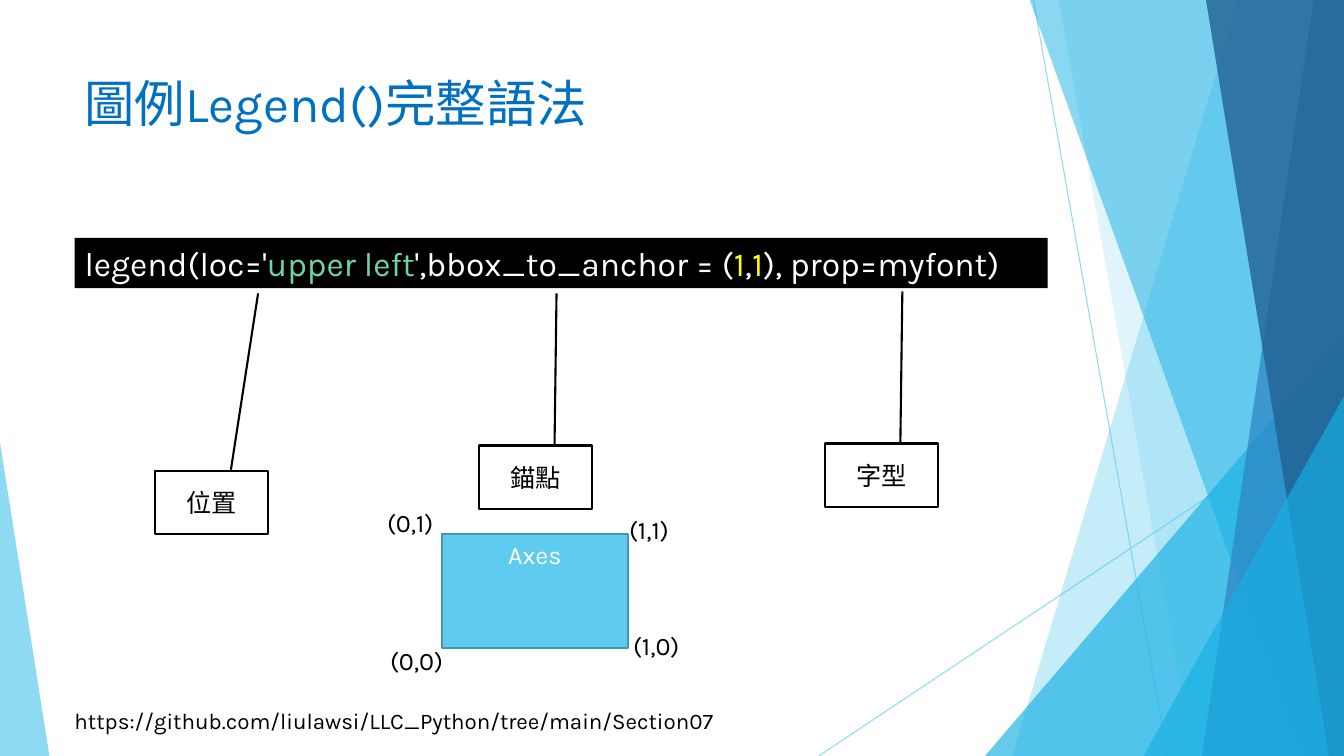
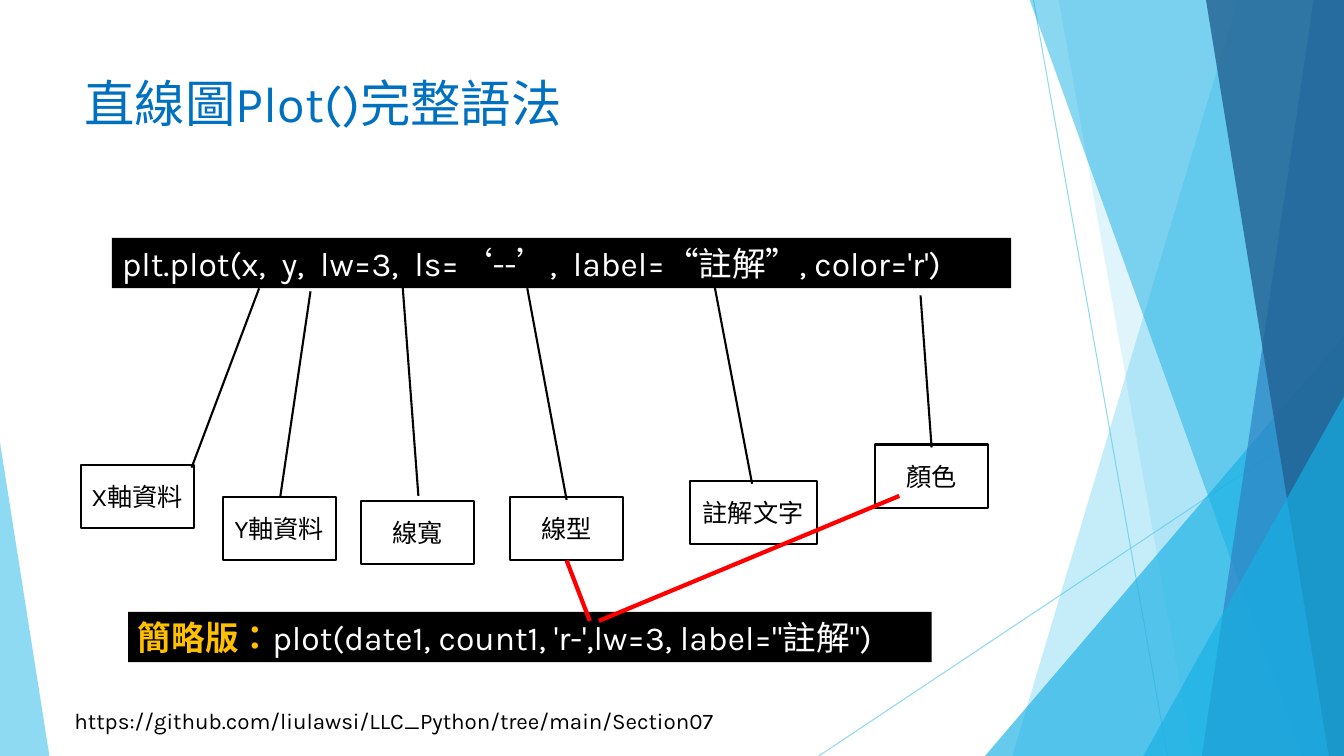
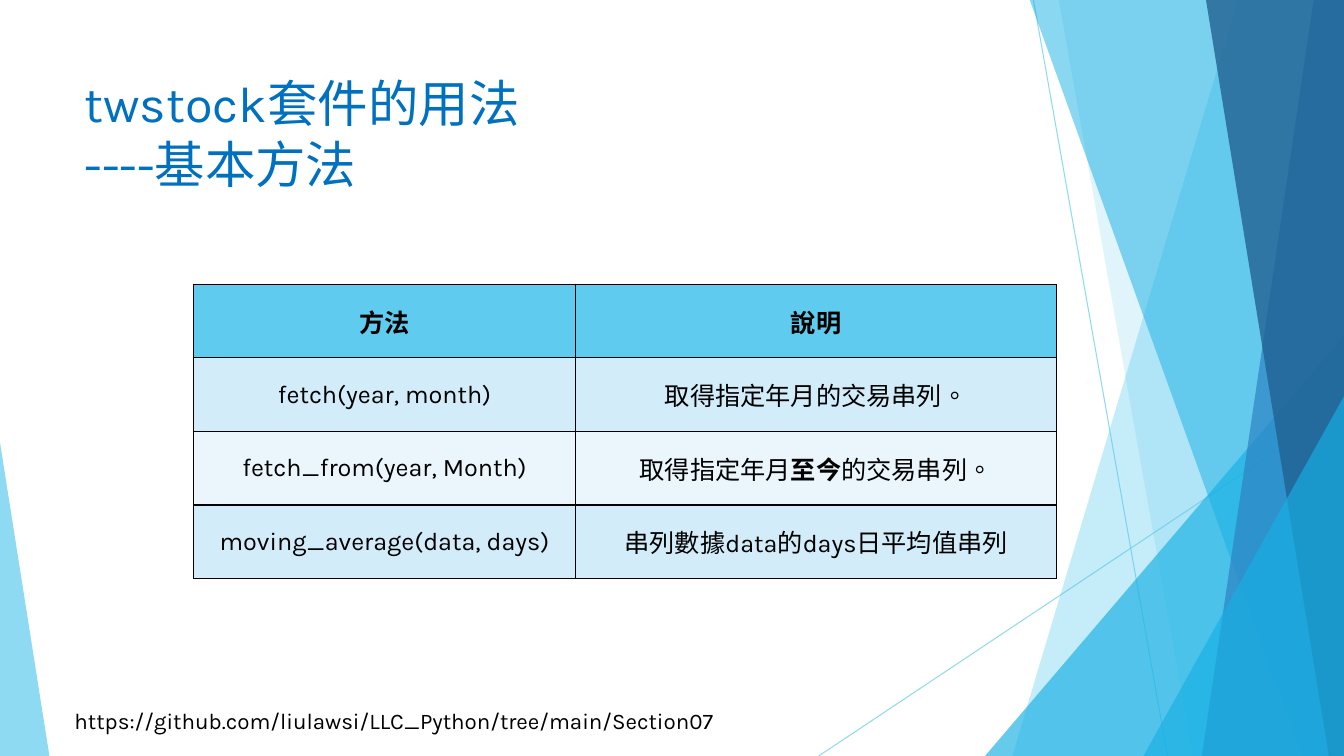
from lxml.etree import SubElement
from pptx import Presentation
from pptx.dml.color import RGBColor as Rgb
from pptx.enum.lang import MSO_LANGUAGE_ID as Lang
from pptx.enum.shapes import MSO_CONNECTOR as Wire, MSO_SHAPE as Kind
from pptx.enum.text import MSO_ANCHOR as Anchor, PP_ALIGN as Align
from pptx.oxml.ns import qn
from pptx.util import Pt

PX = 9144  # 100 px to the inch
WIDE, HIGH = 1333, 750
FONT = "Karla"
LINK = "https://github.com/liulawsi/LLC_Python/tree/main/Section07"
BREAK = "\n"

BLACK = Rgb(0x00, 0x00, 0x00)
WHITE = Rgb(0xFF, 0xFF, 0xFF)
BLUE = Rgb(0x00, 0x70, 0xC0)
SKY = Rgb(0x5F, 0xCB, 0xEF)
EDGE = Rgb(0x46, 0x96, 0xB1)
CYAN = Rgb(0x17, 0xB0, 0xE4)
STEEL = Rgb(0x2E, 0x83, 0xC3)
NAVY = Rgb(0x22, 0x62, 0x92)
PALE = Rgb(0xD2, 0xEC, 0xF9)
FAINT = Rgb(0xEA, 0xF6, 0xFC)
GREEN = Rgb(0x6E, 0xD2, 0xAA)
YELLOW = Rgb(0xFF, 0xFF, 0x00)
GOLD = Rgb(0xFF, 0xC0, 0x00)
RED = Rgb(0xFF, 0x00, 0x00)


def emu(*sizes):
    return [round(size * PX) for size in sizes]


def fade(fill, alpha):
    """Set the opacity of a solid fill, in percent."""
    color = fill._xPr.find(qn("a:solidFill"))[0]
    SubElement(color, qn("a:alpha"), val=str(alpha * 1000))


def paint(shape, fill, line=None, alpha=100):
    shape.shadow.inherit = False
    shape.fill.solid()
    shape.fill.fore_color.rgb = fill
    if alpha < 100:
        fade(shape.fill, alpha)
    if line is None:
        shape.line.fill.background()
    else:
        shape.line.color.rgb = line
        shape.line.width = Pt(1.5)


def write(frame, runs, size=18, color=BLACK, align=Align.LEFT):
    """Add runs, each BREAK, a text, or a tuple of text, colour and bold."""
    para = frame.paragraphs[0]
    para.alignment = align
    for item in runs:
        if item == BREAK:
            para.add_line_break()
            continue
        text, tint, bold = item if isinstance(item, tuple) else (item, color, False)
        run = para.add_run()
        run.text = text
        font = run.font
        font.name, font.size, font.bold = FONT, Pt(size), bold
        font.color.rgb = tint
        font.language_id = Lang.TRADITIONAL_CHINESE


def label(slide, runs, x, y, w, h, size=18, color=BLACK, wrap=True):
    frame = slide.shapes.add_textbox(*emu(x, y, w, h)).text_frame
    frame.word_wrap = wrap
    write(frame, runs, size, color)


def box(slide, kind, place, fill, line=None, alpha=100):
    shape = slide.shapes.add_shape(kind, *emu(*place))
    paint(shape, fill, line, alpha)
    return shape


def code(slide, runs, x, y, w, wrap=False):
    """Draw a black bar with code in it."""
    frame = box(slide, Kind.RECTANGLE, (x, y, w, 50), BLACK).text_frame
    frame.word_wrap = wrap
    frame.vertical_anchor = Anchor.TOP
    write(frame, runs, 24, WHITE)


def callout(slide, text, x, y, start, tip, w=112, h=63):
    """Draw a framed word with a line from start to tip."""
    shape = box(slide, Kind.LINE_CALLOUT_1, (x, y, w, h), WHITE, BLACK)
    ends = [((py - y) / h, (px - x) / w) for px, py in (start, tip)]
    for i, value in enumerate(ends[0] + ends[1]):
        shape.adjustments[i] = value
    shape.text_frame.vertical_anchor = Anchor.MIDDLE
    write(shape.text_frame, [text], align=Align.CENTER)


def wire(slide, ends, color, width, alpha=100):
    line = slide.shapes.add_connector(Wire.STRAIGHT, *emu(*ends))
    line.line.color.rgb = color
    line.line.width = Pt(width)
    if alpha < 100:
        fade(line.line.fill, alpha)
    SubElement(line._element.spPr, qn("a:effectLst"))


def band(slide, top, foot, color, alpha):
    """Fill from a slanted left edge to the right side of the slide."""
    points = [emu(*p) for p in ((WIDE, -1), (WIDE, HIGH), (foot, HIGH))]
    form = slide.shapes.build_freeform(*emu(top, -1), scale=1.0)
    form.add_line_segments(points, close=True)
    paint(form.convert_to_shape(), color, alpha=alpha)


def wedge(slide, place, peak, color, alpha):
    shape = box(slide, Kind.ISOSCELES_TRIANGLE, place, color, alpha=alpha)
    shape.adjustments[0] = peak


def page(deck, *title):
    """Add a slide with the shared backdrop, footer and title."""
    slide = deck.slides.add_slide(deck.slide_layouts[6])
    for ends in ((1025, 0, 1158, HIGH), (WIDE, 403, 812, HIGH)):
        wire(slide, ends, SKY, 0.75, 70)
    band(slide, 1228, 1004, SKY, 36)
    band(slide, 1050, 1183, SKY, 20)
    wedge(slide, (977, 333, 356, 417), 1, CYAN, 66)
    band(slide, 1021, 1291, CYAN, 50)
    band(slide, 1303, 1192, STEEL, 70)
    band(slide, 1196, 1318, NAVY, 80)
    wedge(slide, (1134, 393, 199, 357), 1, CYAN, 66)
    wedge(slide, (0, 439, 49, 311), 0, SKY, 70)
    label(slide, [LINK], 64, 697, 754, 37, 16)
    label(slide, title, 74, 67, 940, 144, 36, BLUE)
    return slide


def border(cell):
    props = cell._tc.get_or_add_tcPr()
    for i, side in enumerate(("a:lnL", "a:lnR", "a:lnT", "a:lnB")):
        line = props.makeelement(qn(side), {"w": str(Pt(1))})
        fill = SubElement(line, qn("a:solidFill"))
        SubElement(fill, qn("a:srgbClr"), val=str(BLACK))
        props.insert(i, line)


def grid(slide, rows, x, y, cols, high):
    size = emu(x, y, sum(cols), high * len(rows))
    table = slide.shapes.add_table(len(rows), len(cols), *size).table
    for col, width in zip(table.columns, emu(*cols)):
        col.width = width
    for r, row in enumerate(rows):
        table.rows[r].height = high * PX
        for c, runs in enumerate(row):
            cell = table.cell(r, c)
            cell.fill.solid()
            cell.fill.fore_color.rgb = (FAINT, PALE)[r % 2] if r else SKY
            cell.vertical_anchor = Anchor.MIDDLE
            border(cell)
            write(cell.text_frame, runs, align=Align.CENTER)


def legend(deck):
    slide = page(deck, "圖例Legend()完整語法")
    one = ("1", YELLOW, False)
    code(slide, ["legend(loc='", ("upper left", GREEN, False),
                 "',bbox_to_anchor = (", one, ",", one, "), prop=myfont)"],
         74, 236, 965, wrap=True)
    callout(slide, "位置", 154, 467, (229, 466), (256, 291))
    callout(slide, "錨點", 475, 442, (550, 441), (552, 291))
    axes = box(slide, Kind.RECTANGLE, (438, 530, 185, 113), SKY, EDGE)
    axes.text_frame.vertical_anchor = Anchor.TOP
    write(axes.text_frame, ["Axes"], color=WHITE, align=Align.CENTER)
    for text, x, y in (("(0,0)", 377, 635), ("(1,1)", 614, 505),
                       ("(1,0)", 618, 620), ("(0,1)", 374, 498)):
        label(slide, [text], x, y, 75, 40, wrap=False)
    callout(slide, "字型", 818, 440, (893, 439), (895, 289))


def plot(deck):
    slide = page(deck, "直線圖Plot()完整語法")
    code(slide, ["plt.plot(x,  y,  lw=3,  ls=", "‘--’", ",  label=",
                 "“註解”", ", color='r')"], 111, 236, 892)
    callout(slide, "X軸資料", 80, 461, (190, 464), (257, 286))
    callout(slide, "Y軸資料", 221, 493, (278, 493), (308, 289))
    callout(slide, "線寬", 358, 497, (415, 492), (399, 279))
    callout(slide, "線型", 506, 493, (562, 496), (523, 286))
    callout(slide, "註解文字", 684, 477, (746, 480), (709, 285), w=126)
    callout(slide, "顏色", 868, 441, (924, 444), (913, 293))
    code(slide, [("簡略版：", GOLD, True),
                 "plot(date1, count1, 'r-',lw=3, label=\"註解\")"], 127, 607, 797)
    for ends in ((562, 556, 585, 616), (892, 492, 594, 616)):
        wire(slide, ends, RED, 3)


def methods(deck):
    slide = page(deck, "twstock套件的用法", BREAK, "----基本方法")
    rows = [
        ([("方法", BLACK, True)], [("說明", BLACK, True)]),
        (["fetch(year, month)"], ["取得指定年月的交易串列。"]),
        (["fetch_from(year, Month)"],
         ["取得指定年月", ("至今", BLACK, True), "的交易串列。"]),
        (["moving_average(data, days)"], ["串列數據data的days日平均值串列"]),
    ]
    grid(slide, rows, 192, 282, (379, 477), 73)


def main():
    deck = Presentation()
    deck.slide_width, deck.slide_height = emu(WIDE, HIGH)
    for build in (legend, plot, methods):
        build(deck)
    deck.save("out.pptx")


if __name__ == "__main__":
    main()
